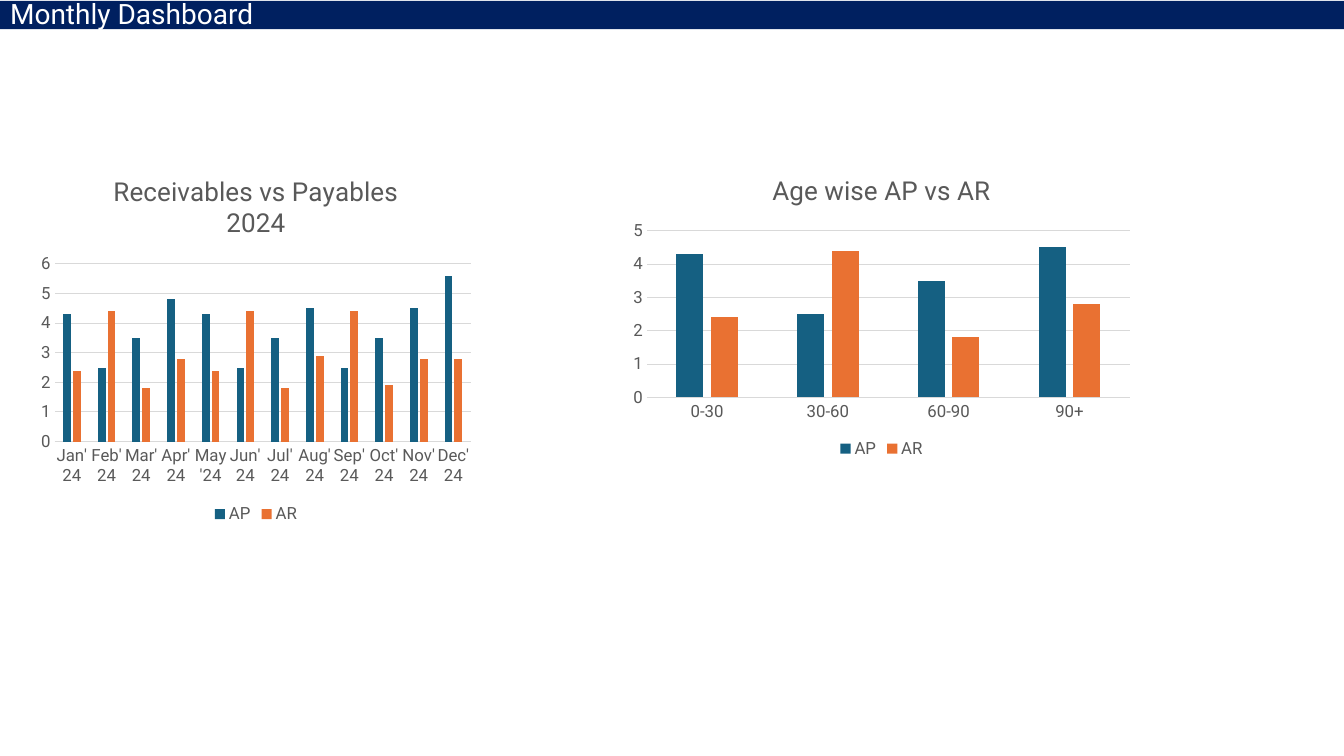
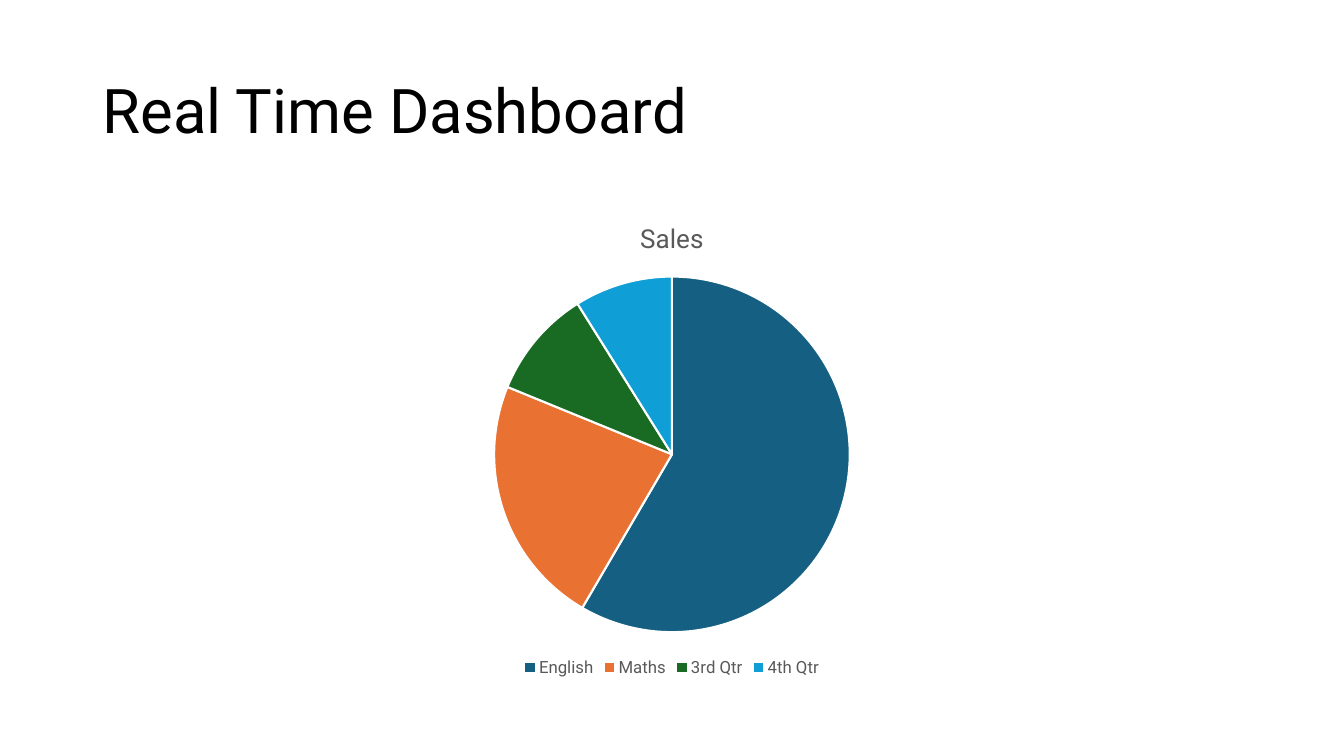
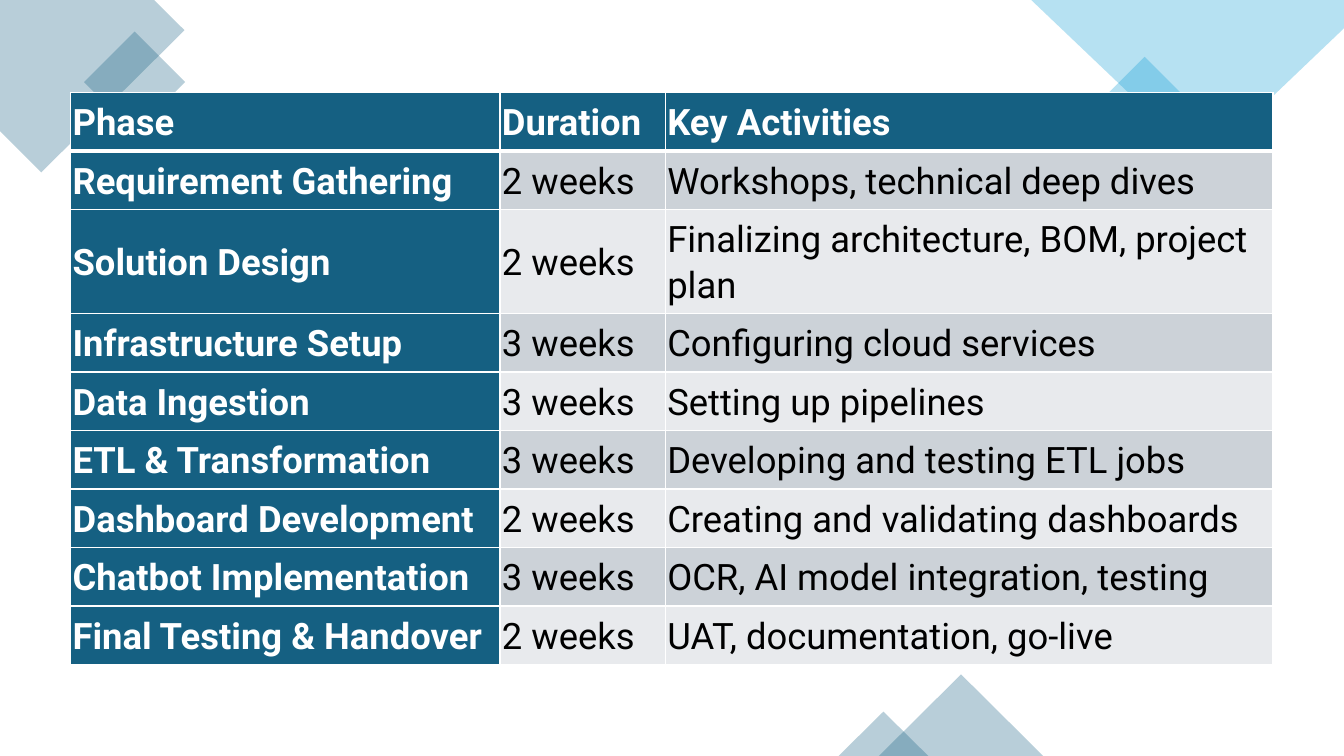
from lxml.etree import SubElement
from pptx import Presentation
from pptx.chart.data import CategoryChartData
from pptx.dml.color import RGBColor
from pptx.enum.chart import XL_CHART_TYPE, XL_LEGEND_POSITION, XL_TICK_MARK
from pptx.enum.shapes import MSO_SHAPE
from pptx.enum.text import MSO_ANCHOR, MSO_AUTO_SIZE, PP_ALIGN
from pptx.oxml.ns import qn
from pptx.util import Pt

FACE = "Roboto"
WHITE, BLACK, NAVY = "FFFFFF", "000000", "002060"
GRAY, RULE = "595959", "D9D9D9"
TEAL, ORANGE, GREEN, SKY = "156082", "E97132", "196B24", "0F9ED5"
BANDS = ["CCD2D8", "E8EAED"]


def paint(fill, color):
    fill.solid()
    fill.fore_color.rgb = RGBColor.from_string(color)


def style(font, size, color, bold=False):
    font.name = FACE
    font.size = Pt(size)
    font.bold = bold
    paint(font.fill, color)


deck = Presentation()
deck.slide_width, deck.slide_height = Pt(960), Pt(540)

# Titled slides
heads = [
    ("Monthly Dashboard", (0, 0.7, 960, 20.2), 20, WHITE, NAVY),
    ("Real Time Dashboard", (66, 28.8, 828, 104.4), 44, BLACK, None),
]
for text, box, size, color, back in heads:
    slide = deck.slides.add_slide(deck.slide_layouts[5])
    title = slide.shapes.title
    title.left, title.top, title.width, title.height = map(Pt, box)
    if back:
        paint(title.fill, back)
    frame = title.text_frame
    frame.text = text
    frame.auto_size = MSO_AUTO_SIZE.NONE
    frame.vertical_anchor = MSO_ANCHOR.MIDDLE
    line = frame.paragraphs[0]
    line.alignment = PP_ALIGN.LEFT
    line.line_spacing = 0.9
    style(line.runs[0].font, size, color)
month, live = deck.slides

# Charts
BAR, PIE = XL_CHART_TYPE.COLUMN_CLUSTERED, XL_CHART_TYPE.PIE
names = "Jan Feb Mar Apr May Jun Jul Aug Sep Oct Nov Dec".split()
plans = [
    (month, BAR, (23, 112.3, 319.7, 265), "Receivables vs Payables 2024",
     [name + "'24" for name in names],
     {"AP": [4.3, 2.5, 3.5, 4.8, 4.3, 2.5, 3.5, 4.5, 2.5, 3.5, 4.5, 5.6],
      "AR": [2.4, 4.4, 1.8, 2.8, 2.4, 4.4, 1.8, 2.9, 4.4, 1.9, 2.8, 2.8]}),
    (month, BAR, (445, 112.3, 369.4, 218.2), "Age wise AP vs AR",
     ["0-30", "30-60", "60-90", "90+"],
     {"AP": [4.3, 2.5, 3.5, 4.5], "AR": [2.4, 4.4, 1.8, 2.8]}),
    (live, PIE, (66, 144, 828, 342.7), "Sales",
     ["English", "Maths", "3rd Qtr", "4th Qtr"], {"Sales": [59, 23, 10, 9]}),
]
for slide, kind, box, text, cats, series in plans:
    data = CategoryChartData()
    data.categories = cats
    for name, vals in series.items():
        data.add_series(name, vals)
    chart = slide.shapes.add_chart(kind, *map(Pt, box), data).chart
    style(chart.font, 10, BLACK)
    chart.has_title = True
    chart.chart_title.include_in_layout = False
    frame = chart.chart_title.text_frame
    frame.text = text
    style(frame.paragraphs[0].runs[0].font, 18.6, GRAY)
    chart.has_legend = True
    chart.legend.position = XL_LEGEND_POSITION.BOTTOM
    chart.legend.include_in_layout = False
    style(chart.legend.font, 12, GRAY)
    plot = chart.plots[0]
    if kind == PIE:
        plot.vary_by_categories = True
        for i, color in enumerate([TEAL, ORANGE, GREEN, SKY]):
            slice = plot.series[0].points[i].format
            paint(slice.fill, color)
            paint(slice.line.fill, WHITE)
            slice.line.width = Pt(1.5)
        continue
    plot.vary_by_categories = False
    plot.gap_width, plot.overlap = 219, -27
    for bars, color in zip(plot.series, [TEAL, ORANGE]):
        paint(bars.format.fill, color)
    chart.value_axis.has_major_gridlines = True
    for axis in (chart.category_axis, chart.value_axis):
        axis.major_tick_mark = axis.minor_tick_mark = XL_TICK_MARK.NONE
        style(axis.tick_labels.font, 12, GRAY)
    chart.value_axis.format.line.fill.background()
    for part in (chart.category_axis, chart.value_axis.major_gridlines):
        paint(part.format.line.fill, RULE)
        part.format.line.width = Pt(0.75)

# Corner decoration
plan = deck.slides.add_slide(deck.slide_layouts[6])
decor = []
outlines = [
    (TEAL, [(110.2, 0), (0, 0), (0, 93.6), (29.5, 123.1), (131.8, 21.6)]),
    (SKY, [(960, 0), (736.6, 0), (859, 116.6), (960, 20.2)]),
]
for color, dots in outlines:
    first, *rest = [(Pt(x), Pt(y)) for x, y in dots]
    pen = plan.shapes.build_freeform(*first)
    pen.add_line_segments(rest, close=True)
    decor.append((pen.convert_to_shape(), color))
forms = [
    (MSO_SHAPE.RECTANGLE, (70.6, 33.1, 51.1, 51.1), 45, TEAL),
    (MSO_SHAPE.RECTANGLE, (790.6, 51.8, 54, 54), 45, SKY),
    (MSO_SHAPE.ISOSCELES_TRIANGLE, (627.8, 481.7, 117.4, 58.3), 0, TEAL),
    (MSO_SHAPE.ISOSCELES_TRIANGLE, (599, 508.3, 64.1, 31.7), 0, TEAL),
]
for kind, box, turn, color in forms:
    shape = plan.shapes.add_shape(kind, *map(Pt, box))
    shape.rotation = turn
    decor.append((shape, color))
for shape, color in decor:
    shape.shadow.inherit = False
    paint(shape.fill, color)
    shape.line.fill.background()
    tint = shape.element.spPr.find(qn("a:solidFill")).find(qn("a:srgbClr"))
    SubElement(tint, qn("a:alpha"), val="30000")

# Phase table
rows = [
    ("Phase", "Duration", "Key Activities"),
    ("Requirement Gathering", "2 weeks", "Workshops, technical deep dives"),
    ("Solution Design", "2 weeks", "Finalizing architecture, BOM, project plan"),
    ("Infrastructure Setup", "3 weeks", "Configuring cloud services"),
    ("Data Ingestion", "3 weeks", "Setting up pipelines"),
    ("ETL & Transformation", "3 weeks", "Developing and testing ETL jobs"),
    ("Dashboard Development", "2 weeks", "Creating and validating dashboards"),
    ("Chatbot Implementation", "3 weeks", "OCR, AI model integration, testing"),
    ("Final Testing & Handover", "2 weeks", "UAT, documentation, go-live"),
]
wide = [306.7, 118.1, 434.2]
high = [74.2 if r == 2 else 41.8 for r in range(len(rows))]
table = plan.shapes.add_table(len(rows), len(wide), Pt(50.4), Pt(66.2),
                              Pt(sum(wide)), Pt(sum(high))).table
table.first_col = True
table.horz_banding = False
for col, width in zip(table.columns, wide):
    col.width = Pt(width)
for r, texts in enumerate(rows):
    table.rows[r].height = Pt(high[r])
    for c, text in enumerate(texts):
        cell = table.cell(r, c)
        head = r == 0 or c == 0
        cell.text_frame.text = text
        cell.vertical_anchor = MSO_ANCHOR.MIDDLE
        cell.margin_left = cell.margin_right = Pt(1.5)
        cell.margin_top = cell.margin_bottom = Pt(1.5)
        line = cell.text_frame.paragraphs[0]
        line.line_spacing = 1.07
        line.space_after = Pt(8)
        style(line.runs[0].font, 26, WHITE if head else BLACK, head)
        props = cell._tc.get_or_add_tcPr()
        for side in ("lnL", "lnR", "lnT", "lnB"):
            thick = (r, side) in [(0, "lnB"), (1, "lnT")]
            edge = SubElement(props, qn("a:" + side), w=str(Pt(3 if thick else 1)))
            solid = SubElement(edge, qn("a:solidFill"))
            SubElement(solid, qn("a:srgbClr"), val=WHITE)
        paint(cell.fill, TEAL if head else BANDS[(r - 1) % 2])

deck.save("out.pptx")
